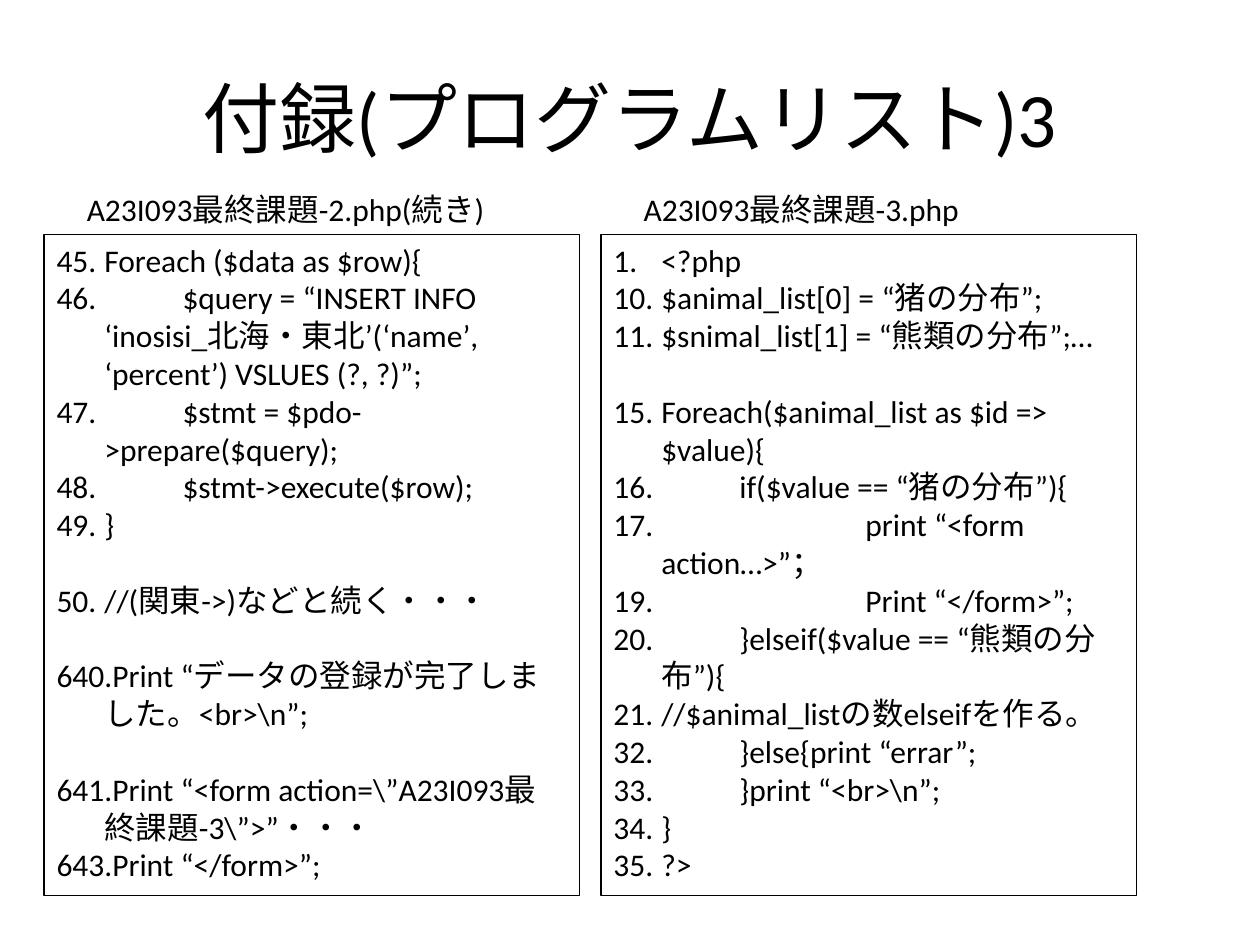
from typing import NamedTuple

from lxml.etree import SubElement
from pptx import Presentation
from pptx.dml.color import RGBColor
from pptx.enum.shapes import MSO_SHAPE as Shape
from pptx.enum.text import MSO_ANCHOR as Anchor, MSO_AUTO_SIZE as AutoSize, PP_ALIGN as Align
from pptx.oxml.ns import qn
from pptx.util import Inches, Pt

BLACK = "000000"
FONT = "Calibri"
CODE_SIZE = 18
BLANK_LINE = 21.6
HANGING = 0.38
TAB_WIDTH = 1


class CodeLine(NamedTuple):
    start: int
    text: str
    gap: bool = False


class Listing(NamedTuple):
    left: float
    caption_left: float
    caption: str
    lines: list[CodeLine]


LISTINGS = [
    Listing(0.35, 0.59, "A23I093最終課題-2.php(続き)", [
        CodeLine(45, "Foreach ($data as $row){"),
        CodeLine(45, " \t$query = “INSERT INFO ‘inosisi_北海・東北’(‘name’, ‘percent’) VSLUES (?, ?)”;"),
        CodeLine(45, " \t$stmt = $pdo->prepare($query);"),
        CodeLine(45, " \t$stmt->execute($row);"),
        CodeLine(45, "}"),
        CodeLine(45, "//(関東->)などと続く・・・", gap=True),
        CodeLine(640, "Print “データの登録が完了しました。<br>\\n”;", gap=True),
        CodeLine(640, "Print “<form action=\\”A23I093最終課題-3\\”>”・・・", gap=True),
        CodeLine(643, "Print “</form>”;"),
    ]),
    Listing(4.77, 5.01, "A23I093最終課題-3.php", [
        CodeLine(1, "<?php"),
        CodeLine(10, "$animal_list[0] = “猪の分布”;"),
        CodeLine(10, "$snimal_list[1] = “熊類の分布”;…"),
        CodeLine(15, "Foreach($animal_list as $id => $value){", gap=True),
        CodeLine(15, " \tif($value == “猪の分布”){"),
        CodeLine(15, " \t\tprint “<form action…>”；"),
        CodeLine(19, " \t\tPrint “</form>”;"),
        CodeLine(19, " \t}elseif($value == “熊類の分布”){"),
        CodeLine(19, "//$animal_listの数elseifを作る。"),
        CodeLine(32, "　\t}else{print “errar”;"),
        CodeLine(32, " \t}print “<br>\\n”;"),
        CodeLine(32, "}"),
        CodeLine(32, "?>"),
    ]),
]


def color(value: str) -> RGBColor:
    return RGBColor.from_string(value)


def write(paragraph, text: str, size: float) -> None:
    run = paragraph.add_run()
    run.text = text
    for name, value in {"name": FONT, "size": Pt(size), "bold": False}.items():
        setattr(run.font, name, value)
    run.font.color.rgb = color(BLACK)
    SubElement(run._r.get_or_add_rPr(), qn("a:ea"), typeface=FONT)


def format_frame(frame, **formats) -> None:
    for name, value in {"word_wrap": True, **formats}.items():
        setattr(frame, name, value)


def add_label(slide, left: float, top: float, width: float, height: float,
              text: str, size: float, align: Align, **formats) -> None:
    shape = slide.shapes.add_textbox(Inches(left), Inches(top), Inches(width), Inches(height))
    format_frame(shape.text_frame, **formats)
    paragraph = shape.text_frame.paragraphs[0]
    paragraph.alignment = align
    write(paragraph, text, size)


def number(paragraph, start: int) -> None:
    properties = paragraph._p.get_or_add_pPr()
    lengths = {"marL": HANGING, "indent": -HANGING, "defTabSz": TAB_WIDTH}
    for name, length in lengths.items():
        properties.set(name, str(Inches(length)))
    SubElement(properties, qn("a:buFont"), typeface="+mj-lt")
    numbering = SubElement(properties, qn("a:buAutoNum"), type="arabicPeriod")
    if start > 1:
        numbering.set("startAt", str(start))


def add_listing(slide, listing: Listing) -> None:
    shape = slide.shapes.add_shape(
        Shape.RECTANGLE, Inches(listing.left), Inches(1.86), Inches(4.25), Inches(5.25))
    shape.shadow.inherit = False
    shape.fill.background()
    shape.line.color.rgb = color(BLACK)
    shape.line.width = Pt(0.75)
    frame = shape.text_frame
    format_frame(frame, vertical_anchor=Anchor.TOP, auto_size=AutoSize.SHAPE_TO_FIT_TEXT)
    for index, line in enumerate(listing.lines):
        paragraph = frame.add_paragraph() if index else frame.paragraphs[0]
        number(paragraph, line.start)
        paragraph.alignment = Align.LEFT
        if line.gap:
            paragraph.space_before = Pt(BLANK_LINE)
        write(paragraph, line.text, CODE_SIZE)
    add_label(slide, listing.caption_left, 1.46, 4.02, 0.4, listing.caption, CODE_SIZE,
              Align.LEFT, auto_size=AutoSize.SHAPE_TO_FIT_TEXT)


def main() -> None:
    presentation = Presentation()
    presentation.slide_width = Inches(10)
    presentation.slide_height = Inches(7.5)
    slide = presentation.slides.add_slide(presentation.slide_layouts[6])
    add_label(slide, 0.5, 0.3, 9, 1.25, "付録(プログラムリスト)3", 44, Align.CENTER,
              vertical_anchor=Anchor.MIDDLE)
    for listing in LISTINGS:
        add_listing(slide, listing)
    presentation.save("out.pptx")


if __name__ == "__main__":
    main()
